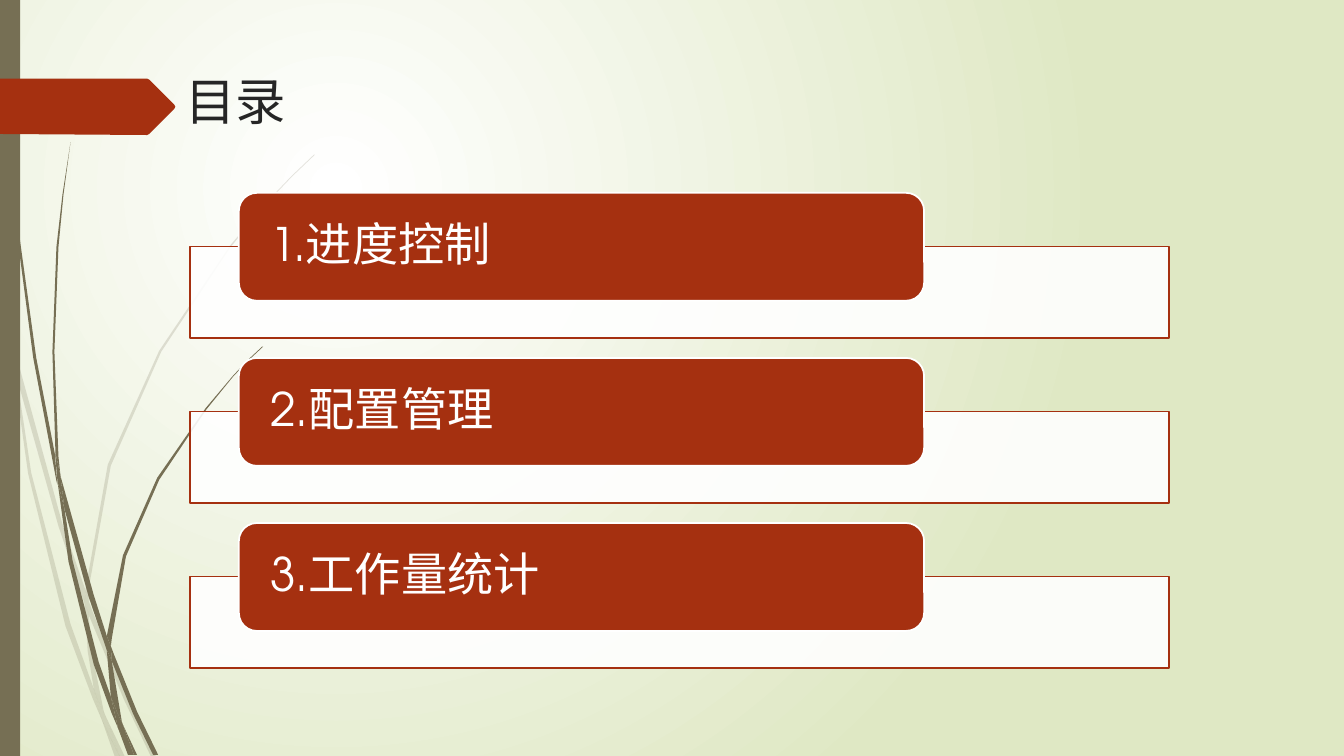
from dataclasses import dataclass

from lxml import etree
from pptx import Presentation
from pptx import util as u
from pptx.dml import color
from pptx.enum import shapes, text
from pptx.oxml import ns


@dataclass(frozen=True)
class Theme:
    accent: str = "A53010"
    stem: str = "766F54"
    ink: str = "262626"
    white: str = "FFFFFF"
    meadow: str = "DFE8C4"
    font: str = "TeX Gyre Adventor"
    title_size: int = 36
    item_size: int = 33
    border: float = 1.25


THEME = Theme()
GRID = u.Cm(2.54) / 100
TITLE = "目录"
ITEMS = ["1.进度控制", "2.配置管理", "3.工作量统计"]
ROW_PITCH = 4.16
ARROW = "146 78 148 79 173 104 174 106 173 108 148 133 146 134 0 133 0 78"

PALE_BLADES = [
    "11 350 9 322 0 282 0 299 10 344",
    "58 522 84 599 85 586 62 520 14 345 17 376",
    "92 607 88 596 88 610 123 694 150 751 155 751 127 692",
    "119 751 124 751 105 711",
    "93 683 70 619 31 469 17 376 11 350 28 470 65 621 92 693 101 714 99 707",
    "84 599 87 646 93 683 96 692 105 711 103 706 91 646 88 610 88 608",
    "88 584 110 462 160 349 229 245 268 198 290 175 312 154 312 153 289 175 268 197 "
    "228 244 158 348 107 461 85 584 85 586 88 596",
    "101 714 114 751 119 751",
    "88 608 88 610 88 596 85 586 84 599",
    "96 692 93 683 99 707 101 714 119 751 105 711",
]

DARK_BLADES = [
    "7 110 17 233 33 355 56 477 57 481 55 457 55 453 36 355 19 232 8 109 5 48 4 0 3 0 4 48",
    "88 592 106 645 106 633 106 631 93 590 60 472 64 505",
    "113 649 110 641 111 656 132 708 152 749 157 749 136 706",
    "110 691 98 657 72 556 64 505 57 477 68 557 93 659 111 708 117 722 116 717",
    "60 472 58 453 54 349 58 245 63 193 70 141 62 193 56 245 52 349 55 449",
    "133 749 136 749 122 719",
    "57 477 64 505 60 472 55 449 55 453",
    "111 633 125 552 158 476 205 406 231 374 245 359 261 344 260 344 245 358 231 373 "
    "204 405 156 474 122 551 106 631 110 641",
    "117 722 127 749 131 749",
    "106 645 110 691 116 706 122 719 121 716 111 656 109 651",
    "106 645 109 651 111 656 110 641 106 631 106 633",
    "116 706 110 691 116 717 117 722 130 749 133 749 122 719",
]


def rgb(code):
    return color.RGBColor.from_string(code)


def paint(shape, fill, opacity=100, line=None):
    shape.shadow.inherit = False
    shape.fill.solid()
    shape.fill.fore_color.rgb = rgb(fill)
    if opacity < 100:
        tint = shape._element.spPr.find(ns.qn("a:solidFill"))[0]
        etree.SubElement(tint, ns.qn("a:alpha"), val=str(opacity * 1000))
    if line:
        shape.line.color.rgb = rgb(line)
        shape.line.width = u.Pt(THEME.border)
    else:
        shape.line.fill.background()


def add_outline(page, outline, fill, opacity=100):
    numbers = [int(number) for number in outline.split()]
    points = list(zip(numbers[::2], numbers[1::2]))
    builder = page.shapes.build_freeform(*points[0], scale=GRID)
    builder.add_line_segments(points[1:], close=True)
    paint(builder.convert_to_shape(), fill, opacity)


def add_box(page, kind, left, top, width, height, fill, opacity=100, line=None):
    box = page.shapes.add_shape(kind, u.Cm(left), u.Cm(top), u.Cm(width), u.Cm(height))
    paint(box, fill, opacity, line)
    return box


def write(frame, words, size, ink):
    frame.text = words
    para = frame.paragraphs[0]
    para.alignment = text.PP_ALIGN.LEFT
    para.font.name = THEME.font
    para.font.size = u.Pt(size)
    para.font.color.rgb = rgb(ink)
    return para


def set_background(page):
    fill = page.background.fill
    fill.gradient()
    for stop, tone in zip(fill.gradient_stops, (THEME.white, THEME.meadow)):
        stop.color.rgb = rgb(tone)
    gradient = next(page._element.iter(ns.qn("a:gradFill")))
    gradient.remove(gradient.find(ns.qn("a:lin")))
    circle = etree.SubElement(gradient, ns.qn("a:path"), {"path": "circle"})
    etree.SubElement(circle, ns.qn("a:fillToRect"), l="50000", t="50000", r="100000", b="100000")


def add_decoration(page):
    for blades, opacity in ((PALE_BLADES, 20), (DARK_BLADES, 100)):
        for blade in blades:
            add_outline(page, blade, THEME.stem, opacity)
    add_box(page, shapes.MSO_SHAPE.RECTANGLE, 0, 0, 0.51, 19.05, THEME.stem)
    add_outline(page, ARROW, THEME.accent)


def set_title(page):
    title = page.shapes.title
    title.left, title.top, title.width, title.height = map(u.Cm, (4.42, 1.63, 23.39, 3.56))
    frame = title.text_frame
    frame.auto_size = text.MSO_AUTO_SIZE.NONE
    frame.vertical_anchor = text.MSO_ANCHOR.TOP
    write(frame, TITLE, THEME.title_size, THEME.ink)


def add_item(page, words, offset):
    add_box(page, shapes.MSO_SHAPE.RECTANGLE, 4.78, 6.21 + offset, 24.69, 2.31,
            THEME.white, 90, THEME.accent)
    badge = add_box(page, shapes.MSO_SHAPE.ROUNDED_RECTANGLE, 6.02, 4.86 + offset, 17.27, 2.72,
                    THEME.accent, line=THEME.white)
    frame = badge.text_frame
    frame.word_wrap = True
    frame.vertical_anchor = text.MSO_ANCHOR.MIDDLE
    frame.margin_left = frame.margin_right = u.Cm(0.66)
    frame.margin_top = frame.margin_bottom = 0
    write(frame, words, THEME.item_size, THEME.white).line_spacing = 0.9


def main():
    deck = Presentation()
    deck.slide_width, deck.slide_height = u.Cm(33.87), u.Cm(19.05)
    page = deck.slides.add_slide(deck.slide_layouts[5])
    set_background(page)
    add_decoration(page)
    set_title(page)
    for row, words in enumerate(ITEMS):
        add_item(page, words, row * ROW_PITCH)
    deck.save("out.pptx")


if __name__ == "__main__":
    main()
